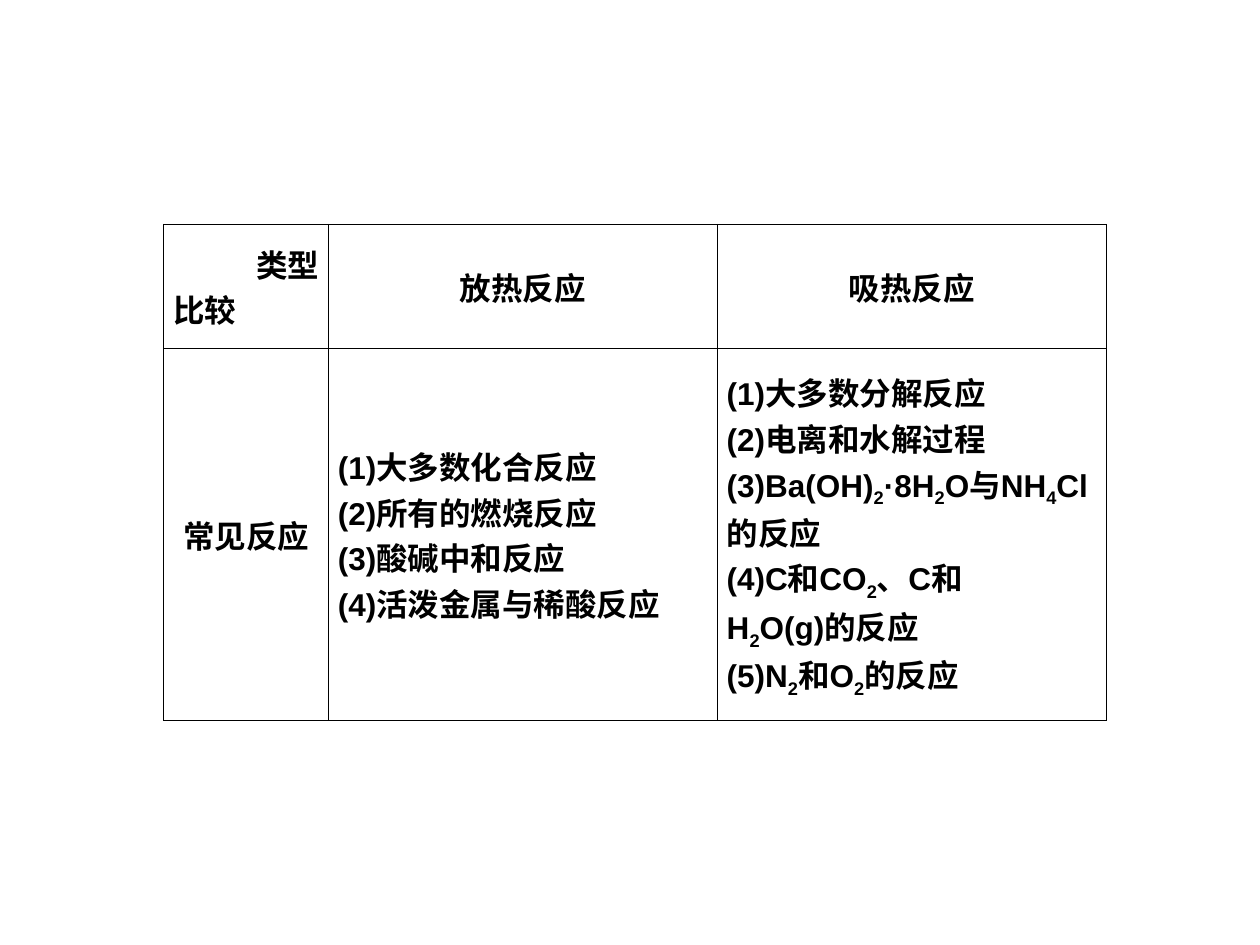
from lxml.etree import SubElement
from pptx import Presentation
from pptx.dml.color import RGBColor
from pptx.enum.text import MSO_ANCHOR as Anchor, PP_ALIGN as Align
from pptx.oxml.ns import qn
from pptx.util import Cm, Pt

COLORS = {"text": "000000", "border": "000000"}
FONT = "Arial"
COL_WIDTHS = [3.32, 7.84, 7.84]
ROW_HEIGHTS = [2.5, 7.5]
L, C, R = Align.LEFT, Align.CENTER, Align.RIGHT

# Text between underscores is set as subscript.
ROWS = [
    [
        [("类型", R), ("比较", L)],
        [("放热反应", C)],
        [("吸热反应", C)],
    ],
    [
        [("常见反应", C)],
        [
            ("(1)大多数化合反应", L),
            ("(2)所有的燃烧反应", L),
            ("(3)酸碱中和反应", L),
            ("(4)活泼金属与稀酸反应", L),
        ],
        [
            ("(1)大多数分解反应", L),
            ("(2)电离和水解过程", L),
            ("(3)Ba(OH)_2_·8H_2_O与NH_4_Cl的反应", L),
            ("(4)C和CO_2_、C和", L),
            ("H_2_O(g)的反应", L),
            ("(5)N_2_和O_2_的反应", L),
        ],
    ],
]


def set_borders(cell):
    tc_pr = cell._tc.get_or_add_tcPr()
    for side in ("lnL", "lnR", "lnT", "lnB"):
        ln = SubElement(tc_pr, qn(f"a:{side}"), w=str(Pt(0.45)))
        fill = SubElement(ln, qn("a:solidFill"))
        SubElement(fill, qn("a:srgbClr"), val=COLORS["border"])


def write_line(p, text, align):
    p.alignment = align
    for i, part in enumerate(text.split("_")):
        if not part:
            continue
        r = p.add_run()
        r.text = part
        r.font.name = FONT
        r.font.size = Pt(18)
        r.font.bold = True
        r.font.color.rgb = RGBColor.from_string(COLORS["text"])
        if i % 2:
            r._r.get_or_add_rPr().set("baseline", "-25000")


def fill_cell(cell, lines):
    set_borders(cell)
    cell.fill.background()
    cell.vertical_anchor = Anchor.MIDDLE
    cell.margin_left = cell.margin_right = Cm(0.19)
    cell.margin_top = cell.margin_bottom = Cm(0.13)
    tf = cell.text_frame
    for i, (text, align) in enumerate(lines):
        p = tf.add_paragraph() if i else tf.paragraphs[0]
        write_line(p, text, align)


def add_reaction_table(s, left, top, width, height):
    shape = s.shapes.add_table(len(ROWS), len(ROWS[0]), left, top, width, height)
    table = shape.table
    table.first_row = table.horz_banding = False
    for col, col_width in zip(table.columns, COL_WIDTHS):
        col.width = int(width * col_width / sum(COL_WIDTHS))
    for row, row_height in zip(table.rows, ROW_HEIGHTS):
        row.height = int(height * row_height / sum(ROW_HEIGHTS))
    for i, row in enumerate(ROWS):
        for j, lines in enumerate(row):
            fill_cell(table.cell(i, j), lines)


def main():
    prs = Presentation()
    prs.slide_width, prs.slide_height = Cm(25.4), Cm(19.05)
    s = prs.slides.add_slide(prs.slide_layouts[6])
    add_reaction_table(s, Cm(3.3), Cm(4.52), Cm(19), Cm(10))
    prs.save("out.pptx")


if __name__ == "__main__":
    main()
